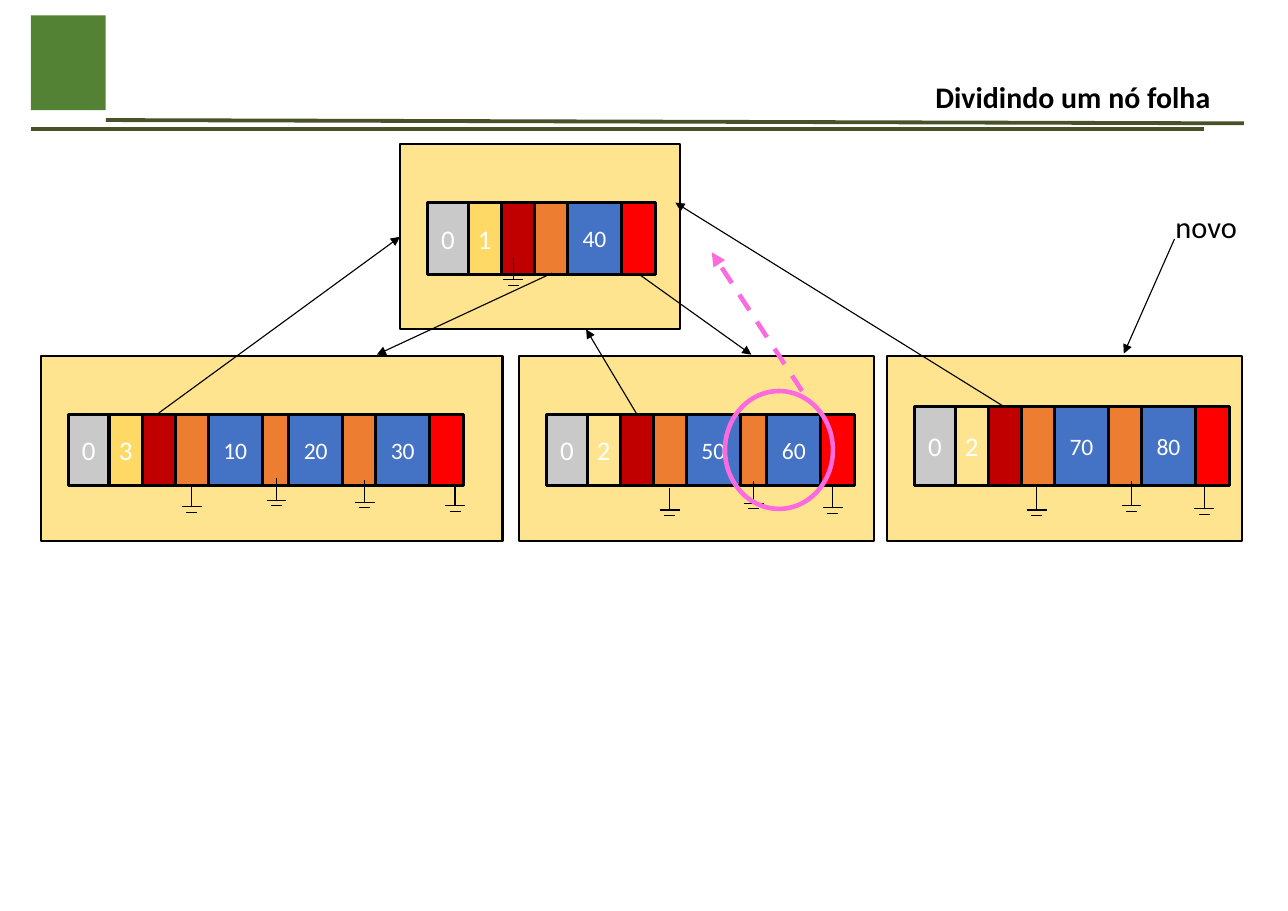
"""Build a slide that shows a B+ tree leaf node being split."""
from dataclasses import dataclass

from lxml import etree
from pptx import Presentation
from pptx.dml.color import RGBColor
from pptx.enum import dml, shapes, text
from pptx import util as u
from pptx.oxml.ns import qn


@dataclass(frozen=True)
class Theme:
    """Colours, type sizes and line widths of the slide."""
    font: str = "Calibri"
    green: str = "548235"
    olive: str = "485228"
    panel: str = "FFE48F"
    black: str = "000000"
    white: str = "FFFFFF"
    pink: str = "FC6AE0"
    title: float = 19.5
    label: float = 19.9
    header: float = 17.6
    key: float = 15.4
    thin: float = 0.75
    edge: float = 1.5
    cell: float = 2
    rule: float = 2.5
    mark: float = 3


T = Theme()
WIDTH, HEIGHT = 11.69, 8.27

CELLS = {
    "flag": (0.37, "C9C9C9", T.header),
    "few": (0.3, "FFD966", T.header),
    "count": (0.3, T.panel, T.header),
    "parent": (0.3, "C00000", T.header),
    "pointer": (0.3, "ED7D31", T.header),
    "slim": (0.24, "ED7D31", T.header),
    "key": (0.49, "4472C4", T.key),
    "last": (0.31, "FF0000", T.header),
}


def rgb(colour):
    """Turn a hex string into a colour."""
    return RGBColor.from_string(colour)


def write(tf, words, size, colour, align, bold=False):
    """Put one styled paragraph into a text frame."""
    p = tf.paragraphs[0]
    p.text, p.alignment = words, align
    p.font.name, p.font.size, p.font.bold = T.font, u.Pt(size), bold
    p.font.color.rgb = rgb(colour)
    return p


def shape(s, box, fill=None, line=None, width=1, kind=shapes.MSO_SHAPE.RECTANGLE):
    """Add a preset shape without a shadow."""
    sp = s.shapes.add_shape(kind, *map(u.Inches, box))
    sp.shadow.inherit = False
    if fill:
        sp.fill.solid()
        sp.fill.fore_color.rgb = rgb(fill)
    else:
        sp.fill.background()
    if line:
        sp.line.color.rgb, sp.line.width = rgb(line), u.Pt(width)
    else:
        sp.line.fill.background()
    return sp


def line(s, x1, y1, x2, y2, colour=T.black, width=T.thin, arrow=False, dash=False):
    """Add a straight line, with an arrowhead or dashes if asked."""
    sp = s.shapes.add_connector(
        shapes.MSO_CONNECTOR.STRAIGHT, *map(u.Inches, (x1, y1, x2, y2)))
    sp.line.color.rgb, sp.line.width = rgb(colour), u.Pt(width)
    if dash:
        sp.line.dash_style = dml.MSO_LINE.DASH
    if arrow:
        etree.SubElement(sp.line._get_or_add_ln(), qn("a:tailEnd"), type="triangle")
    etree.SubElement(sp._element.spPr, qn("a:effectLst"))


def ground(s, x, y, stem):
    """Draw the null pointer symbol hanging from a point."""
    line(s, x, y, x, y + stem)
    for half, drop in ((0.09, 0), (0.05, 0.05)):
        line(s, x - half, y + stem + drop, x + half, y + stem + drop)


def node(s, box, cells, nulls, row=(0.53, 0.65), stem=0.2):
    """Draw a tree node: its panel, its row of cells and its null pointers."""
    left, top = box[:2]
    shape(s, box, T.panel, T.black, T.edge)
    x = left + 0.25
    for kind, words in cells:
        width, fill, size = CELLS[kind]
        sp = shape(s, (x, top + row[0], width, row[1]), fill, T.black, T.cell)
        if words:
            tf = sp.text_frame
            tf.margin_left = tf.margin_right = 0
            tf.vertical_anchor = text.MSO_ANCHOR.MIDDLE
            write(tf, words, size, T.white, text.PP_ALIGN.CENTER)
        x += width
    for dx, dy in nulls:
        ground(s, left + dx, top + dy, stem)


def header(s, box):
    """Draw the emblem block, the title and the double rule."""
    left, top, width, height = box
    bottom = top + height
    shape(s, (left, top, 0.68, 0.86), T.green)
    line(s, left + 0.68, bottom - 0.08, left + width, bottom - 0.05, T.olive, T.rule)
    line(s, left, bottom, left + width - 0.36, bottom, T.olive, T.rule)
    tf = s.shapes.add_textbox(*map(u.Inches, (6.04, 0.63, 5.06, 0.54))).text_frame
    tf.word_wrap = True
    tf.vertical_anchor = text.MSO_ANCHOR.MIDDLE
    tf.margin_left = tf.margin_right = u.Inches(0.11)
    tf.margin_top = tf.margin_bottom = u.Inches(0.06)
    p = write(tf, "Dividindo um nó folha", T.title, T.black, text.PP_ALIGN.RIGHT, True)
    p.line_spacing = 0.9


def tree(s, left, top):
    """Draw the root and its three leaves, with the root level at the given top."""
    leaf_top, height = top + 1.92, 1.68
    links = [("parent", ""), ("pointer", "")]
    node(s, (left, leaf_top, 4.19, height),
         [("flag", "0"), ("few", "3"), *links, ("key", "10"), ("slim", ""),
          ("key", "20"), ("pointer", ""), ("key", "30"), ("last", "")],
         [(1.37, 1.17), (2.14, 1.11), (2.94, 1.13), (3.76, 1.16)])
    node(s, (left + 4.34, leaf_top, 3.22, height),
         [("flag", "0"), ("count", "2"), *links, ("key", "50"), ("slim", ""),
          ("key", "60"), ("last", "")],
         [(1.37, 1.2), (2.13, 1.14), (2.85, 1.18)])
    node(s, (left + 7.68, leaf_top, 3.22, height),
         [("flag", "0"), ("count", "2"), *links, ("key", "70"), ("pointer", ""),
          ("key", "80"), ("last", "")],
         [(1.36, 1.18), (2.22, 1.14), (2.88, 1.17)], (0.46, 0.72), 0.22)
    node(s, (left + 3.26, top, 2.54, height),
         [("flag", "0"), ("few", "1"), *links, ("key", "40"), ("last", "")],
         [(1.03, 1.03)])
    for x1, y1, x2, y2 in ((1.07, 2.44, 3.26, 0.84), (5.41, 2.45, 4.95, 1.68),
                           (8.74, 2.38, 5.76, 0.53), (4.64, 1.17, 3.05, 1.91),
                           (5.43, 1.18, 6.45, 1.91)):
        line(s, left + x1, top + y1, left + x2, top + y2, arrow=True)


def notes_on_split(s, left, top):
    """Mark the key that moves up and label the new leaf."""
    shape(s, (left, top, 0.98, 1.07), None, T.pink, T.mark, shapes.MSO_SHAPE.OVAL)
    line(s, left + 0.7, top, left - 0.12, top - 1.26, T.pink, T.mark, True, True)
    line(s, left + 4.08, top - 1.38, left + 3.62, top - 0.34, arrow=True)
    box = left + 3.99, top - 1.71, 0.76, 0.44
    tf = s.shapes.add_textbox(*map(u.Inches, box)).text_frame
    tf.word_wrap = False
    write(tf, "novo", T.label, T.black, text.PP_ALIGN.LEFT)


def main():
    """Build the slide and save it."""
    prs = Presentation()
    prs.slide_width, prs.slide_height = u.Inches(WIDTH), u.Inches(HEIGHT)
    s = prs.slides.add_slide(prs.slide_layouts[6])
    header(s, (0.28, 0.14, 11.01, 1.03))
    tree(s, 0.37, 1.31)
    notes_on_split(s, 6.58, 3.55)
    prs.save("out.pptx")


if __name__ == "__main__":
    main()
